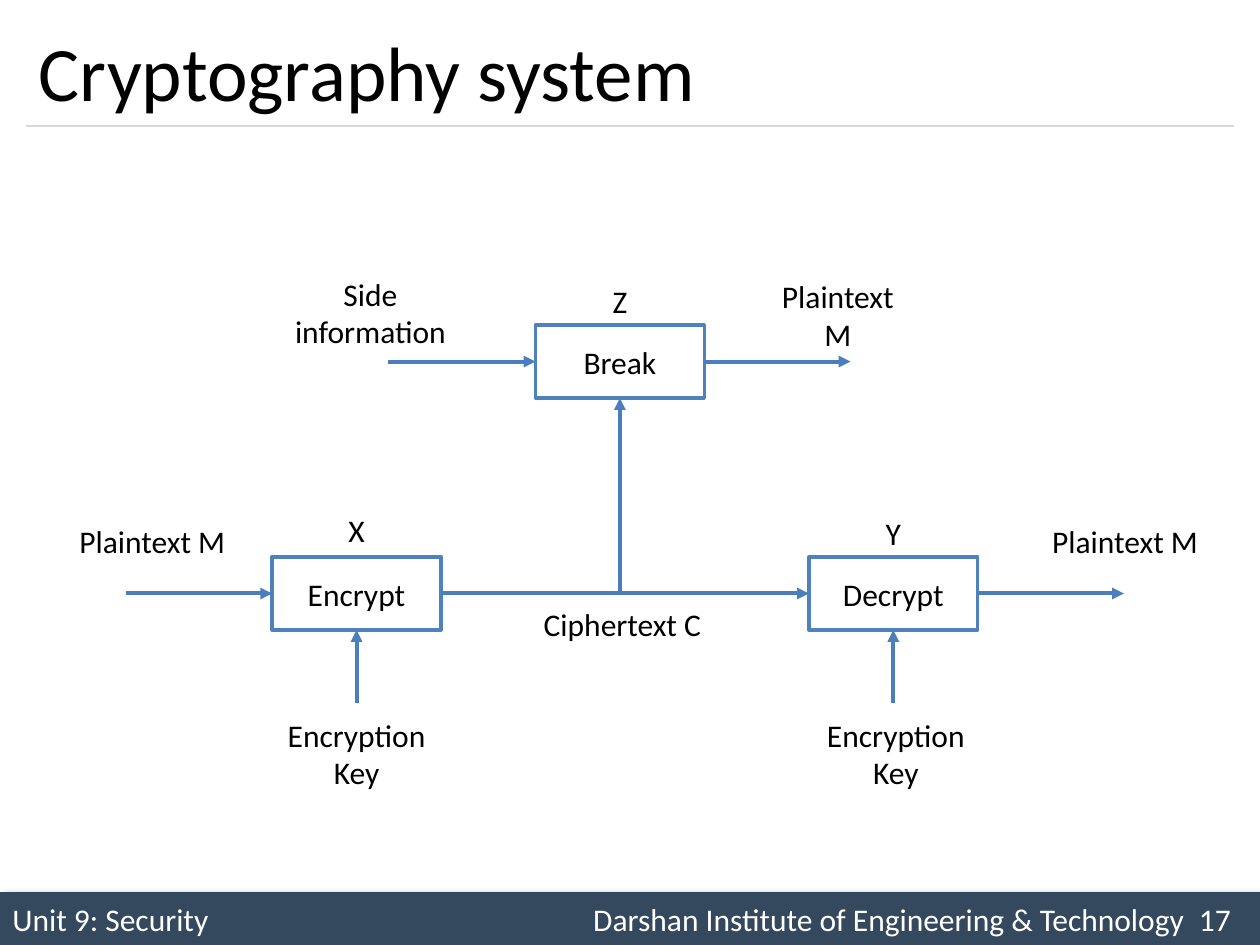
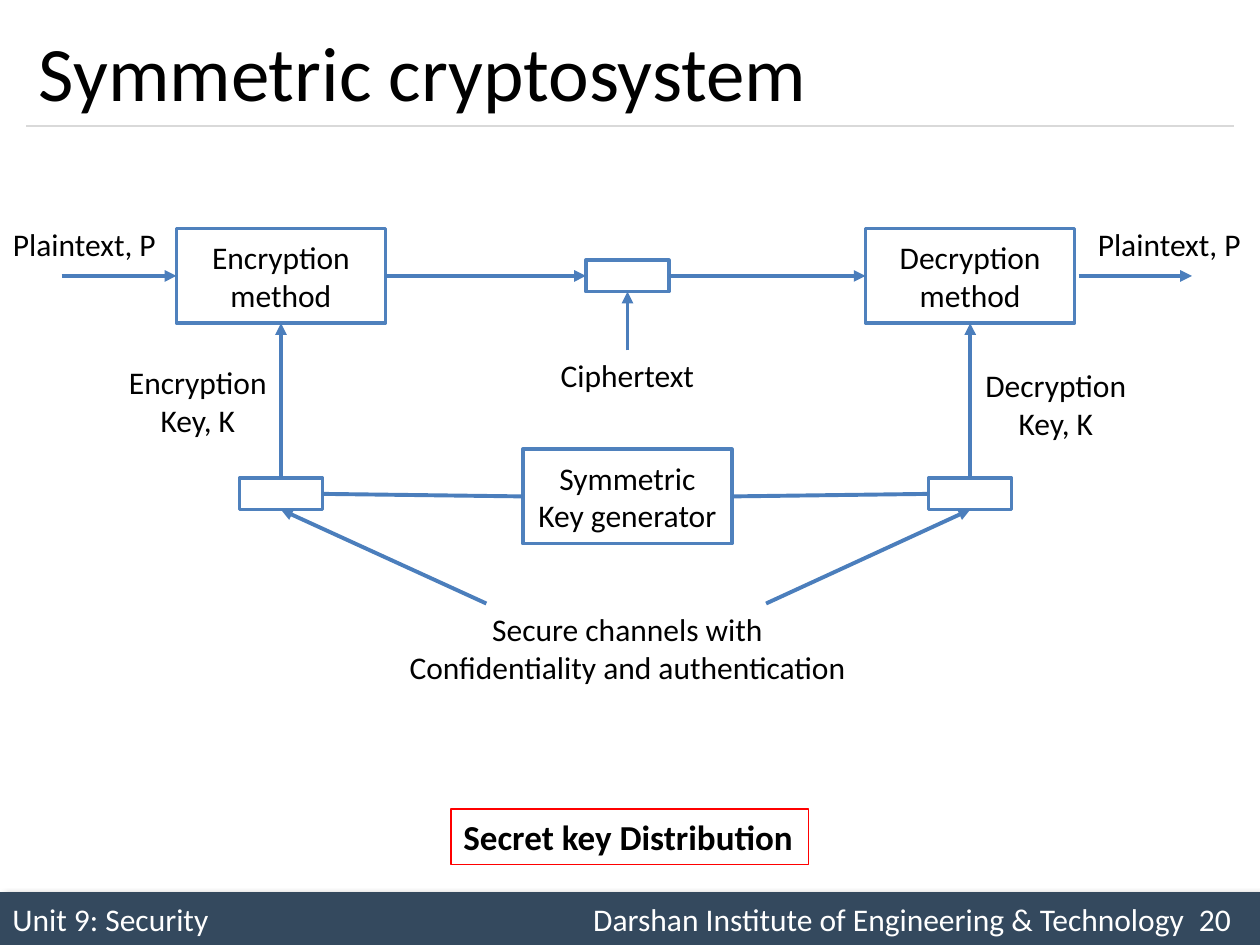
"""Build two slides of cryptography diagrams."""
from dataclasses import dataclass

from lxml.etree import SubElement
from pptx import Presentation
from pptx.dml.color import RGBColor
from pptx.enum.shapes import MSO_CONNECTOR, MSO_SHAPE
from pptx.enum.text import MSO_ANCHOR, MSO_AUTO_SIZE, PP_ALIGN
from pptx.oxml.ns import qn
from pptx.util import Inches, Pt


@dataclass(frozen=True)
class Theme:
    """Colours, font and sizes shared by the slides."""
    font: str = "Calibri"
    ink: str = "000000"
    paper: str = "FFFFFF"
    band: str = "34495E"
    rule: str = "D9D9D9"
    outline: str = "4F81BD"
    arrow: str = "4B7EBC"
    notice: str = "FF0000"
    title_size: int = 44
    body_size: int = 18
    notice_size: int = 20
    hairline: float = 0.75
    box_line: float = 2
    arrow_line: float = 2.25


THEME = Theme()
TOP, LEFT, BOTTOM, RIGHT = range(4)


def colour(value):
    """Return a colour object for a hexadecimal value."""
    return RGBColor.from_string(value)


def write(shape, lines, size=THEME.body_size, ink=THEME.ink, bold=False,
          align=PP_ALIGN.CENTER, anchor=MSO_ANCHOR.MIDDLE, wrap=True):
    """Fill a shape with one paragraph for each line."""
    frame = shape.text_frame
    frame.word_wrap = wrap
    frame.vertical_anchor = anchor
    if not wrap:
        frame.auto_size = MSO_AUTO_SIZE.SHAPE_TO_FIT_TEXT
    for index, line in enumerate(lines):
        para = frame.paragraphs[0] if index == 0 else frame.add_paragraph()
        para.alignment = align
        span = para.add_run()
        span.text = line
        span.font.name = THEME.font
        span.font.size = Pt(size)
        span.font.bold = bold
        span.font.color.rgb = colour(ink)


def add_rectangle(page, left, top, width, height, fill=None, line=None, weight=THEME.box_line):
    """Add a plain rectangle with an optional fill and outline."""
    box = page.shapes.add_shape(MSO_SHAPE.RECTANGLE, Inches(left), Inches(top),
                                Inches(width), Inches(height))
    box.shadow.inherit = False
    if fill:
        box.fill.solid()
        box.fill.fore_color.rgb = colour(fill)
    else:
        box.fill.background()
    if line:
        box.line.color.rgb = colour(line)
        box.line.width = Pt(weight)
    else:
        box.line.fill.background()
    return box


def add_box(page, centre, size, *lines):
    """Add an outlined diagram box around a centre point."""
    (x, y), (width, height) = centre, size
    box = add_rectangle(page, x - width / 2, y - height / 2, width, height,
                        THEME.paper, THEME.outline)
    write(box, lines)
    return box


def add_label(page, centre_x, top, width, *lines):
    """Add centred lines of text below a top edge."""
    height = 0.1 + 0.3 * len(lines)
    label = page.shapes.add_textbox(Inches(centre_x - width / 2), Inches(top),
                                    Inches(width), Inches(height))
    write(label, lines, anchor=MSO_ANCHOR.TOP, wrap=False)


def add_line(page, start, end, ink=THEME.arrow, weight=THEME.arrow_line, arrow=True):
    """Draw a line between points or (box, side) pairs."""
    points = [(0, 0) if hasattr(stop[0], "shape_id") else stop for stop in (start, end)]
    line = page.shapes.add_connector(MSO_CONNECTOR.STRAIGHT,
                                     *[Inches(value) for point in points for value in point])
    for stop, connect in ((start, line.begin_connect), (end, line.end_connect)):
        if hasattr(stop[0], "shape_id"):
            connect(*stop)
    line.line.color.rgb = colour(ink)
    line.line.width = Pt(weight)
    if arrow:
        SubElement(line.line._get_or_add_ln(), qn("a:tailEnd"), type="triangle")
    SubElement(line._element.spPr, qn("a:effectLst"))


def add_footer(page, number):
    """Add the shadowed footer band with its tabbed text."""
    band = add_rectangle(page, 0, 7.08, 10, 0.42, THEME.band)
    effects = band._element.spPr.find(qn("a:effectLst"))
    shadow = SubElement(effects, qn("a:outerShdw"), blurRad=str(Pt(4)), dist=str(Pt(3)),
                        dir="2700000", algn="tl", rotWithShape="0")
    shade = SubElement(shadow, qn("a:srgbClr"), val="000000")
    SubElement(shade, qn("a:alpha"), val="40000")
    properties = band.text_frame.paragraphs[0]._p.get_or_add_pPr()
    stops = SubElement(properties, qn("a:tabLst"))
    for position, side in ((4.61, "l"), (9.67, "r")):
        SubElement(stops, qn("a:tab"), pos=str(Inches(position)), algn=side)
    text = f"Unit 9: Security\tDarshan Institute of Engineering & Technology\t{number}"
    write(band, [text], ink=THEME.paper, align=PP_ALIGN.LEFT)


def add_page(deck, title, number):
    """Add a blank slide with footer, rule and title."""
    page = deck.slides.add_slide(deck.slide_layouts[6])
    add_footer(page, number)
    add_line(page, (0.21, 1), (9.79, 1), THEME.rule, THEME.hairline, arrow=False)
    heading = page.shapes.add_textbox(Inches(0.21), Inches(0.12), Inches(9.58), Inches(0.88))
    write(heading, [title], THEME.title_size, align=PP_ALIGN.LEFT)
    return page


def build_cryptography_system(deck):
    """Build the slide with encryption, decryption and breaking."""
    page = add_page(deck, "Cryptography system", 17)
    size = (1.34, 0.58)
    encrypt_x, break_x, decrypt_x = 2.83, 4.92, 7.09
    break_y, main_y = 2.87, 4.71
    breaker = add_box(page, (break_x, break_y), size, "Break")
    encrypt = add_box(page, (encrypt_x, main_y), size, "Encrypt")
    decrypt = add_box(page, (decrypt_x, main_y), size, "Decrypt")

    add_line(page, (3.08, break_y), (breaker, LEFT))
    add_line(page, (breaker, RIGHT), (6.75, break_y))
    add_line(page, (encrypt, RIGHT), (decrypt, LEFT))
    add_line(page, (break_x, main_y), (breaker, BOTTOM))
    add_line(page, (1, main_y), (encrypt, LEFT))
    add_line(page, (decrypt, RIGHT), (8.92, main_y))
    for box, x in ((encrypt, encrypt_x), (decrypt, decrypt_x)):
        add_line(page, (x, 5.58), (box, BOTTOM))

    for x, top, letter in ((break_x, 2.19, "Z"), (encrypt_x, 4.01, "X"), (decrypt_x, 4.03, "Y")):
        add_label(page, x, top, 0.33, letter)
    add_label(page, 2.94, 2.13, 1.41, "Side", "information")
    add_label(page, 6.65, 2.15, 1.1, "Plaintext", "M")
    add_label(page, 4.94, 4.75, 1.47, "Ciphertext C")
    for x in (1.21, 8.93):
        add_label(page, x, 4.09, 1.37, "Plaintext M")
    for x in (2.83, 7.11):
        add_label(page, x, 5.63, 1.31, "Encryption", "Key")


def build_symmetric_cryptosystem(deck):
    """Build the slide on symmetric key distribution."""
    page = add_page(deck, "Symmetric cryptosystem", 20)
    large, small = (1.66, 0.75), (0.66, 0.25)
    left_x, middle_x, right_x = 2.23, 4.98, 7.7
    flow_y, key_y = 2.19, 3.92
    encryption = add_box(page, (left_x, flow_y), large, "Encryption", "method")
    ciphertext = add_box(page, (middle_x, flow_y), small)
    decryption = add_box(page, (right_x, flow_y), large, "Decryption method")
    generator = add_box(page, (middle_x, 3.94), large, "Symmetric", "Key generator")
    left_key = add_box(page, (left_x, key_y), small)
    right_key = add_box(page, (right_x, key_y), small)

    add_line(page, (0.49, flow_y), (encryption, LEFT))
    add_line(page, (encryption, RIGHT), (ciphertext, LEFT))
    add_line(page, (ciphertext, RIGHT), (decryption, LEFT))
    add_line(page, (8.56, flow_y), (9.46, flow_y))
    add_line(page, (middle_x, 2.78), (ciphertext, BOTTOM))
    add_line(page, (generator, LEFT), (left_key, RIGHT), arrow=False)
    add_line(page, (right_key, LEFT), (generator, RIGHT), arrow=False)
    for key, method, channel_x in ((left_key, encryption, 3.86), (right_key, decryption, 6.08)):
        add_line(page, (key, TOP), (method, BOTTOM))
        add_line(page, (channel_x, 4.79), (key, BOTTOM))

    for x in (0.67, 9.28):
        add_label(page, x, 1.74, 1.35, "Plaintext, P")
    add_label(page, 1.57, 2.83, 1.31, "Encryption", "Key, K")
    add_label(page, 8.38, 2.86, 1.33, "Decryption", "Key, K")
    add_label(page, middle_x, 2.78, 1.27, "Ciphertext")
    add_label(page, middle_x, 4.79, 3.71, "Secure channels with",
              "Confidentiality and authentication")
    notice = add_rectangle(page, 3.58, 6.42, 2.84, 0.44, line=THEME.notice, weight=THEME.hairline)
    write(notice, ["Secret key Distribution"], THEME.notice_size, bold=True, align=PP_ALIGN.LEFT)


def main():
    """Build and save the deck."""
    deck = Presentation()
    deck.slide_width, deck.slide_height = Inches(10), Inches(7.5)
    build_cryptography_system(deck)
    build_symmetric_cryptosystem(deck)
    deck.save("out.pptx")


if __name__ == "__main__":
    main()
